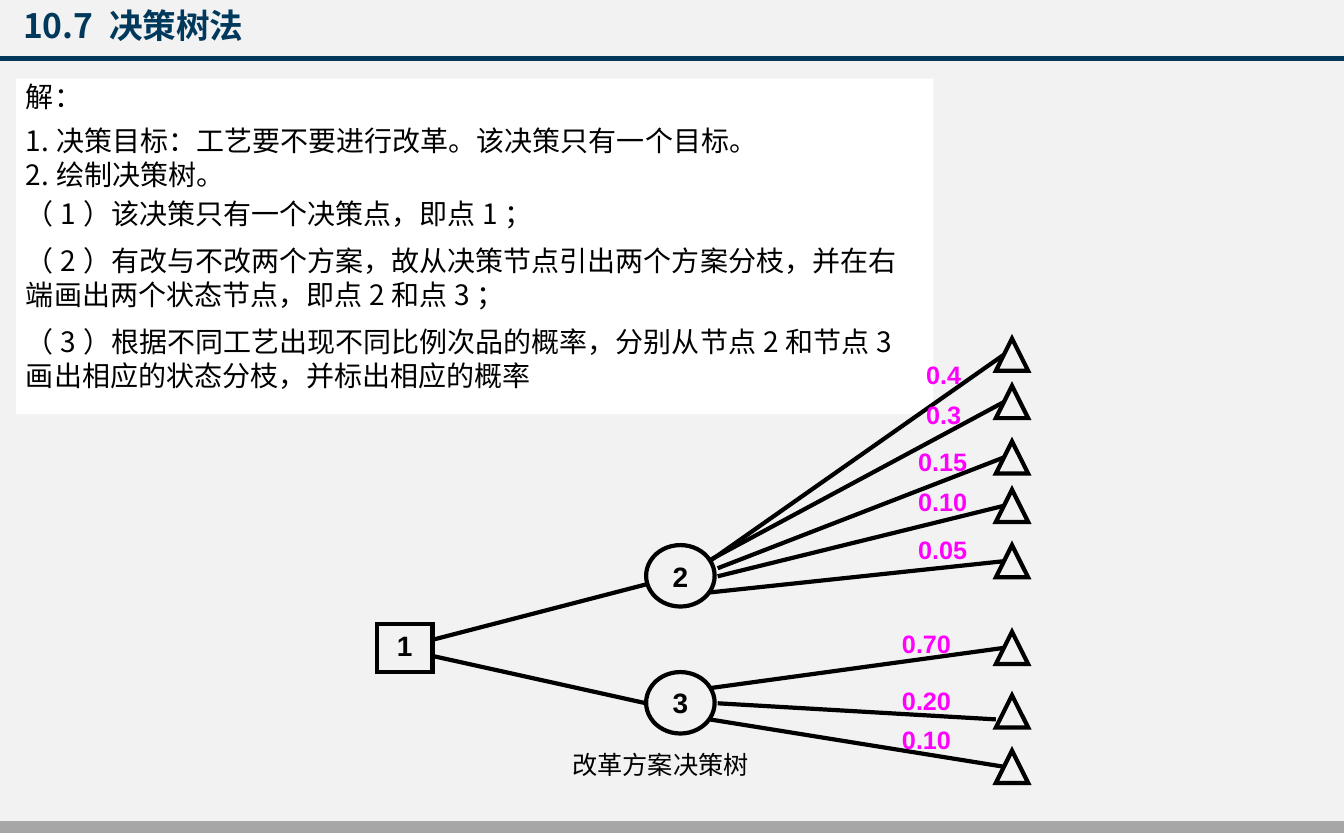
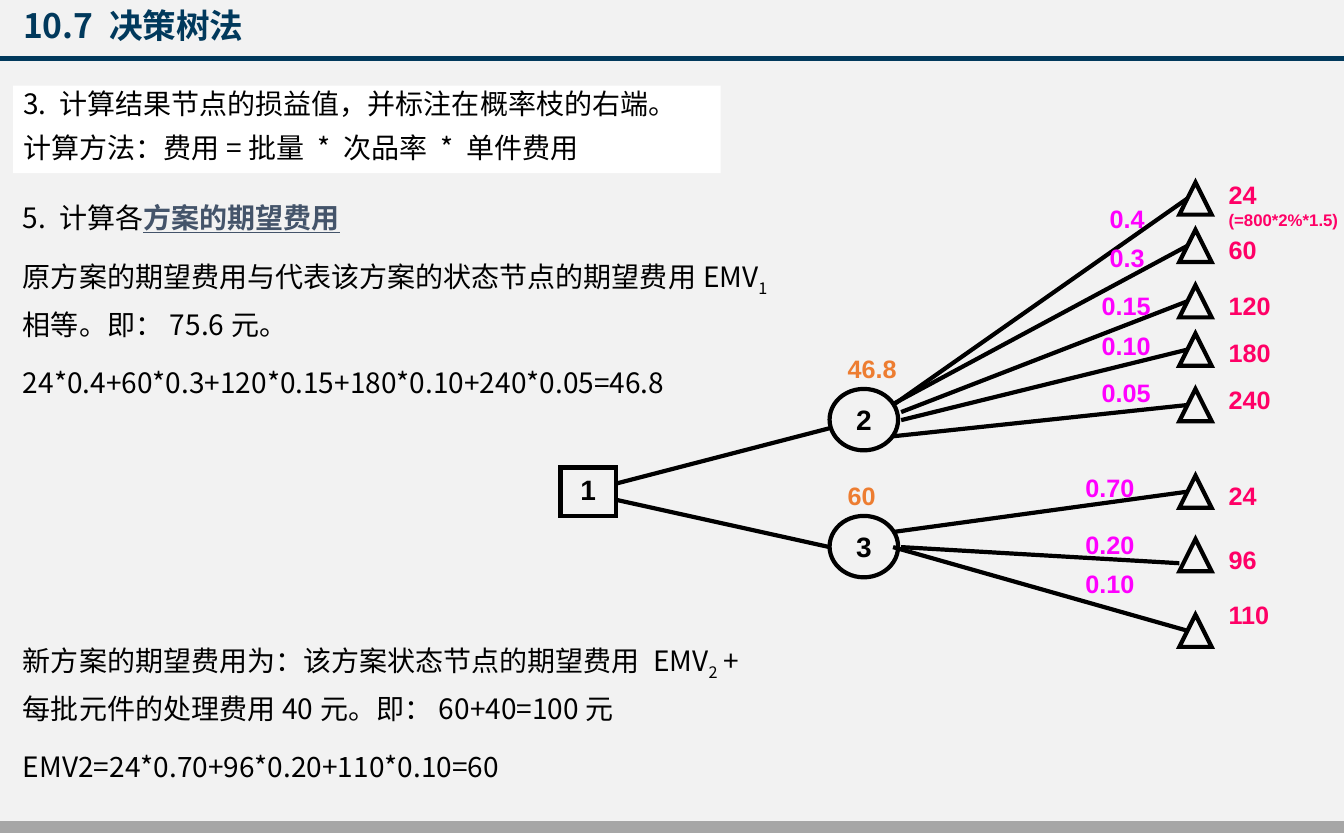
import lxml.etree
import pptx
import pptx.dml.color
import pptx.enum.shapes
import pptx.enum.text
import pptx.oxml.ns
import pptx.util

EMU_PER_PX = 9144  # 100 px to the inch
SLIDE_WIDTH = pptx.util.Emu(12192000)
SLIDE_HEIGHT = pptx.util.Emu(7559675)
BAND_WIDTH = 1333
CJK_FONT, LATIN_FONT = "Noto Sans CJK SC", "Arial"
COLORS = {
    "background": "F2F2F2", "navy": "01395C", "footer": "A6A6A6",
    "white": "FFFFFF", "black": "000000", "probability": "FF00FF",
    "payoff": "FF0066", "expected": "ED7D31", "link": "44546A",
}
SHAPES = pptx.enum.shapes.MSO_SHAPE
ANCHORS = pptx.enum.text.MSO_ANCHOR
ALIGNMENTS = pptx.enum.text.PP_ALIGN

# Tree positions are those of the first slide; the second one shifts them.
TRIANGLE_LEFT, TRIANGLE_SIZE = 988, 32
NODES = [
    (SHAPES.RECTANGLE, 374, 619, 55, 48, "1"),
    (SHAPES.OVAL, 641, 541, 68, 61, "2"),
    (SHAPES.OVAL, 641, 667, 68, 61, "3"),
]
OPTION_LINES = [(429, 635, 641, 580), (429, 651, 641, 698)]
# probability, label left, label top, label width, triangle top, branch start x and y
BRANCHES = [
    ("0.4", 909, 352, 55, 336, 704, 557),
    ("0.3", 909, 391, 55, 383, 704, 556),
    ("0.15", 901, 438, 79, 438, 712, 564),
    ("0.10", 901, 478, 79, 486, 712, 572),
    ("0.05", 901, 525, 79, 541, 704, 588),
    ("0.70", 885, 619, 79, 627, 704, 683),
    ("0.20", 885, 675, 79, 690, 712, 698),
]
# cost, label top, label width
PAYOFFS = [("60", 228, 55), ("120", 283, 71), ("180", 330, 79), ("240", 377, 87),
           ("24", 472, 55), ("96", 535, 55), ("110", 590, 87)]


def px(length):
    return pptx.util.Emu(length * EMU_PER_PX)


def rgb(name):
    return pptx.dml.color.RGBColor.from_string(COLORS[name])


def add_element(parent, tag):
    return lxml.etree.SubElement(parent, pptx.oxml.ns.qn(tag))


def format_run(run, font, size, color, bold=False, underline=False, baseline=0):
    run.font.size = pptx.util.Pt(size)
    run.font.bold = bold
    run.font.underline = underline
    run.font.color.rgb = rgb(color)
    run.font.name = font
    properties = run._r.get_or_add_rPr()
    add_element(properties, "a:ea").set("typeface", CJK_FONT)
    if baseline:
        properties.set("baseline", str(baseline * 1000))


def add_shape(slide, kind, left, top, width, height, fill=None, line=None, weight=3):
    shape = slide.shapes.add_shape(kind, px(left), px(top), px(width), px(height))
    shape.shadow.inherit = False
    if fill:
        shape.fill.solid()
        shape.fill.fore_color.rgb = rgb(fill)
    else:
        shape.fill.background()
    if line:
        shape.line.color.rgb = rgb(line)
        shape.line.width = pptx.util.Pt(weight)
        add_element(shape.line._get_or_add_ln(), "a:miter").set("lim", "800000")
    else:
        shape.line.fill.background()
    return shape


def add_line(slide, x1, y1, x2, y2):
    line = slide.shapes.add_connector(
        pptx.enum.shapes.MSO_CONNECTOR.STRAIGHT, px(x1), px(y1), px(x2), px(y2))
    line.line.color.rgb = rgb("black")
    line.line.width = pptx.util.Pt(3)
    add_element(line._element.spPr, "a:effectLst")


def add_text_box(slide, left, top, width, height):
    return slide.shapes.add_textbox(px(left), px(top), px(width), px(height))


def add_label(slide, left, top, width, height, text, color,
              size=18, font=LATIN_FONT, bold=True):
    label = add_text_box(slide, left, top, width, height)
    label.text_frame.word_wrap = True
    paragraph = label.text_frame.paragraphs[0]
    paragraph.text = text
    format_run(paragraph.runs[0], font, size, color, bold)
    return label


def fill_body(shape, paragraphs):
    """Write body text; each paragraph is (line spacing, [(text, run style)])."""
    frame = shape.text_frame
    frame.word_wrap = True
    frame.vertical_anchor = ANCHORS.TOP
    for index, (spacing, pieces) in enumerate(paragraphs):
        paragraph = frame.add_paragraph() if index else frame.paragraphs[0]
        paragraph.alignment = ALIGNMENTS.LEFT
        paragraph.line_spacing = spacing
        if index:
            paragraph.space_before = pptx.util.Pt(10)
        for text, style in pieces:
            run = paragraph.add_run()
            run.text = text
            format_run(run, CJK_FONT, 20, **{"color": "black", **style})


def add_node(slide, kind, left, top, width, height, number):
    node = add_shape(slide, kind, left, top, width, height, line="black")
    node.text_frame.vertical_anchor = ANCHORS.TOP
    paragraph = node.text_frame.paragraphs[0]
    paragraph.text = number
    paragraph.alignment = ALIGNMENTS.CENTER
    format_run(paragraph.runs[0], LATIN_FONT, 20, "black", bold=True)


def add_tree(slide, last_branch, dx=0, dy=0):
    for kind, left, top, width, height, number in NODES:
        add_node(slide, kind, left + dx, top + dy, width, height, number)
    for x1, y1, x2, y2 in OPTION_LINES:
        add_line(slide, x1 + dx, y1 + dy, x2 + dx, y2 + dy)
    triangle_left = TRIANGLE_LEFT + dx
    for text, left, top, width, triangle_top, x, y in BRANCHES + [last_branch]:
        add_shape(slide, SHAPES.ISOSCELES_TRIANGLE, triangle_left, triangle_top + dy,
                  TRIANGLE_SIZE, TRIANGLE_SIZE, line="black")
        # The 0.20 branch meets the triangle lower, at its left edge.
        inset, drop = (0, 24) if text == "0.20" else (8, 16)
        add_line(slide, x + dx, y + dy, triangle_left + inset, triangle_top + drop + dy)
        add_label(slide, left + dx, top + dy, width, 40, text, "probability")


def add_slide(presentation):
    """Add a slide with the shared title and bands."""
    slide = presentation.slides.add_slide(presentation.slide_layouts[6])
    for top, height, color in [(816, 10, "footer"), (56, 4, "navy")]:
        add_shape(slide, SHAPES.RECTANGLE, 0, top, BAND_WIDTH, height, color, color, 1)
    title = add_label(slide, 13, 0, 401, 50, "10.7 决策树法", "navy", 24, CJK_FONT)
    title.text_frame.vertical_anchor = ANCHORS.MIDDLE
    return slide


def add_drawing_slide(presentation):
    slide = add_slide(presentation)
    steps = [
        (0.9, "解："),
        (0.9, "1.决策目标：工艺要不要进行改革。该决策只有一个目标。"),
        (0.5, "2.绘制决策树。"),
        (0.8, "（1）该决策只有一个决策点，即点1；"),
        (1.0, "（2）有改与不改两个方案，故从决策节点引出两个方案分枝，"
              "并在右端画出两个状态节点，即点2和点3；"),
        (1.0, "（3）根据不同工艺出现不同比例次品的概率，"
              "分别从节点2和节点3画出相应的状态分枝，并标出相应的概率"),
    ]
    panel = add_shape(slide, SHAPES.RECTANGLE, 16, 78, 910, 333, "white")
    fill_body(panel, [(spacing, [(text, {})]) for spacing, text in steps])
    add_tree(slide, ("0.10", 885, 714, 79, 745, 704, 714))
    add_label(slide, 558, 739, 331, 40, "改革方案决策树", "black", bold=False)


def add_cost_slide(presentation):
    slide = add_slide(presentation)
    add_tree(slide, ("0.10", 885, 714, 79, 765, 704, 698), dx=182, dy=-155)

    first_payoff = add_label(slide, 1209, 173, 140, 60, "24 ", "payoff")
    formula = first_payoff.text_frame.paragraphs[0].add_run()
    formula.text = "(=800*2%*1.5)"
    format_run(formula, LATIN_FONT, 12, "payoff", bold=True)
    for text, top, width in PAYOFFS:
        add_label(slide, 1209, top, width, 40, text, "payoff")

    panel = add_shape(slide, SHAPES.RECTANGLE, 13, 85, 702, 87, "white")
    fill_body(panel, [
        (0.9, [("3. 计算结果节点的损益值，并标注在概率枝的右端。", {})]),
        (0.9, [("计算方法：费用=批量 * 次品率 * 单件费用", {})]),
    ])
    for text, top in [("46.8", 346), ("60", 472)]:
        add_label(slide, 831, top, 87, 40, text, "expected")

    subscript = {"baseline": -25}
    fill_body(add_text_box(slide, 13, 184, 770, 219), [
        (1.3, [("5. 计算各", {}),
               ("方案的期望费用", {"color": "link", "bold": True, "underline": True})]),
        (1.3, [("原方案的期望费用与代表该方案的状态节点的期望费用EMV", {}),
               ("1", subscript), ("相等。即：75.6元。", {})]),
        (1.3, [("24*0.4+60*0.3+120*0.15+180*0.10+240*0.05=46.8", {})]),
    ])
    fill_body(add_text_box(slide, 13, 622, 760, 158), [
        (1.3, [("新方案的期望费用为：该方案状态节点的期望费用 EMV", {}),
               ("2", subscript), (" + 每批元件的处理费用40元。即：60+40=100元", {})]),
        (1.3, [("EMV2=24*0.70+96*0.20+110*0.10=60", {})]),
    ])


def main():
    presentation = pptx.Presentation()
    presentation.slide_width = SLIDE_WIDTH
    presentation.slide_height = SLIDE_HEIGHT
    background = presentation.slide_master.background.fill
    background.solid()
    background.fore_color.rgb = rgb("background")
    add_drawing_slide(presentation)
    add_cost_slide(presentation)
    presentation.save("out.pptx")


if __name__ == "__main__":
    main()
